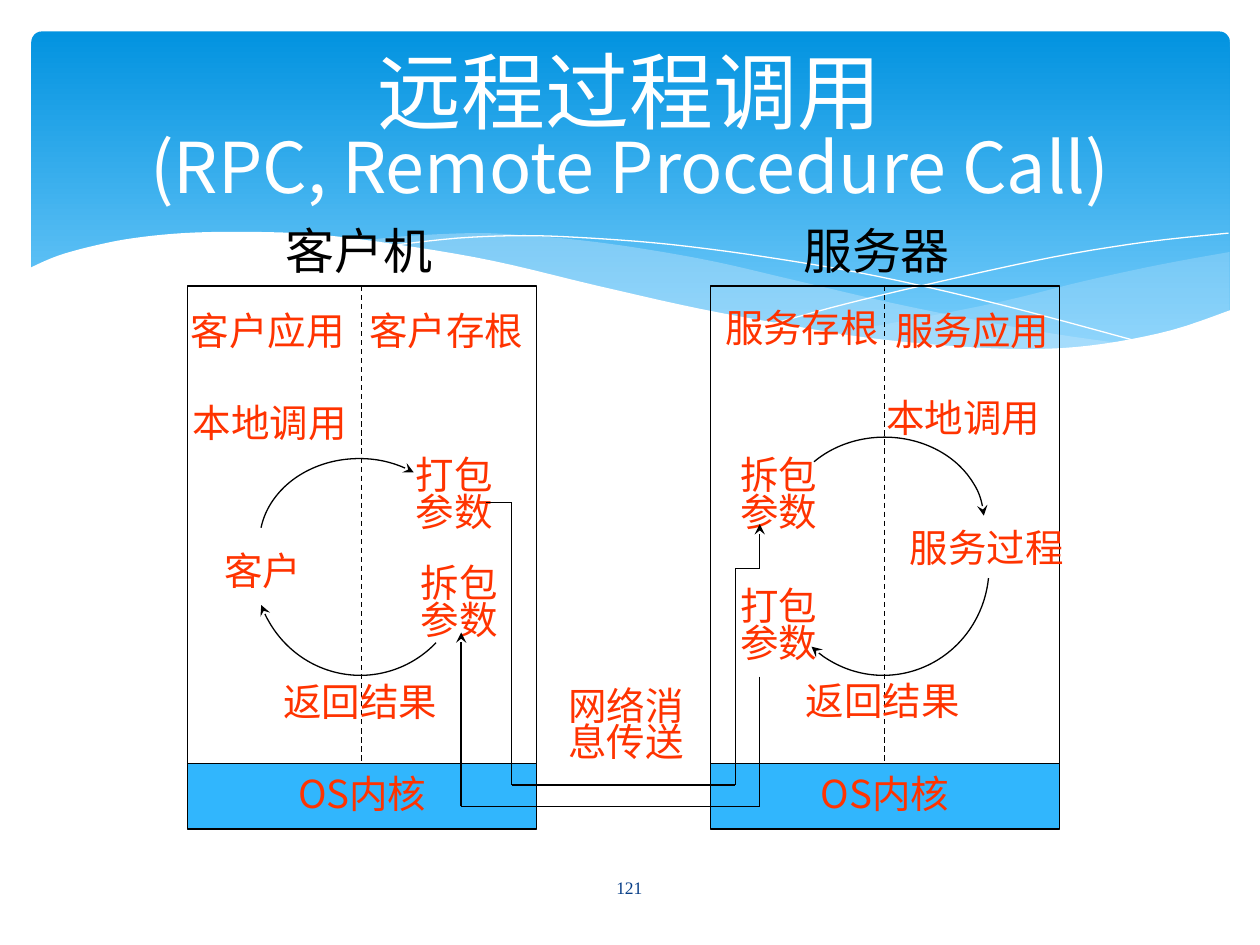
import lxml.etree
import pptx
import pptx.dml.color
import pptx.enum.dml
import pptx.enum.shapes
import pptx.enum.text
import pptx.oxml.ns
import pptx.util

SLIDE_WIDTH = pptx.util.Inches(10)
SLIDE_HEIGHT = pptx.util.Inches(7.5)
COLUMN = SLIDE_WIDTH / 100
ROW = SLIDE_HEIGHT / 75
FONT = "Noto Sans CJK JP"
COLORS = {
    "white": "FFFFFF", "black": "000000", "label": "FF3300", "kernel": "31B6FD",
    "sky_top": "0293E0", "sky_bottom": "83D3FE", "wave": "C6E7FC", "number": "073E87",
}
LABELS = [
    (["客户应用"], 13.8, 24.4, 14.9, 3.5),
    (["客户存根"], 28.7, 24.4, 13.4, 3.5),
    (["本地调用"], 14.6, 31.7, 13.6, 3.5),
    (["客户"], 14.9, 43.4, 11.9, 3.4),
    (["打包", "参数"], 32.3, 36.5, 7.5, 5.2),
    (["拆包", "参数"], 32.3, 45.1, 8.3, 5.2),
    (["返回结果"], 21.6, 53.8, 14, 3.4),
    (["服务存根"], 56.9, 24.1, 13.5, 5.2),
    (["服务应用"], 70.5, 24.4, 13.3, 4.2),
    (["本地调用"], 69.7, 31.3, 13.5, 3.5),
    (["服务过程"], 71.9, 41.6, 12.8, 3.4),
    (["拆包", "参数"], 57.8, 36.5, 8, 5.2),
    (["打包", "参数"], 57.8, 46.9, 8, 5.2),
    (["返回结果"], 63.4, 53.7, 13.3, 3.4),
]
CALL_ARCS = [
    (20.6, 36.4, 15.8, 13.3, 188.5, 308),
    (20.2, 36.4, 16.8, 17.2, 45, 159),
    (62.3, 34.7, 15.8, 13.3, 220, 357),
    (61.7, 36.4, 16.8, 17.2, 6, 132),
]
REQUEST_ROUTE = [(38.6, 39.9), (40.6, 39.9), (40.6, 62.3), (58.35, 62.3),
                 (58.35, 45.1), (60.3, 45.1), (60.3, 41.6)]
REPLY_ROUTE = [(60.3, 53.7), (60.3, 64), (36.6, 64), (36.6, 50.2)]

RIGHT_WAVE_TOP = [(97.6, 20), (92.1, 21), (86.1, 22.3), (80.5, 23.7), (75.3, 24.8), (66.1, 26.5)]
RIGHT_WAVE_BOTTOM = [(66.1, 26.5), (71.8, 27.3), (76.9, 27.7), (81.4, 27.8), (86.3, 27.5),
                     (90.5, 26.9), (94.2, 25.9), (97.6, 24.7)]
BROAD_WAVE_TOP = [(89.3, 27.3), (83.7, 26.5), (77.5, 25.4), (70.6, 24), (62.9, 22.2), (56.9, 20.8),
                  (51.4, 19.8), (46.4, 19.1), (42, 18.7), (38, 18.5), (32.8, 18.7), (28.6, 19.1)]
BROAD_WAVE_BOTTOM = [(28.6, 19.1), (34.2, 19.9), (40.4, 21.1), (49.1, 23.2), (56.6, 24.8),
                     (63.4, 26.1), (69.5, 27), (74.8, 27.6), (79.6, 27.9), (84.8, 27.8), (89.3, 27.3)]
FALLING_CREST = [(30.9, 19.5), (36.3, 18.9), (41.6, 18.7), (46.9, 18.9), (53.2, 19.4), (60.8, 20.4),
                 (69.5, 21.9), (79.5, 24.2), (90.7, 27.2)]
RISING_CREST = [(61.3, 25.7), (67.2, 24.1), (74.8, 22.3), (83.6, 20.4), (91, 19.2), (97.5, 18.5)]
PAGE_EDGE = [(97.7, 24.6), (93, 26.2), (87.5, 27.3), (82.3, 27.7), (76.1, 27.5), (68.8, 26.8),
             (62.6, 25.8), (55.5, 24.5), (47.5, 22.7), (39.1, 20.7), (31.5, 19.4), (25, 18.6),
             (19.3, 18.4), (14.6, 18.5), (10.6, 18.9), (7.5, 19.5), (4.6, 20.3), (2.3, 21.3)]
PAGE_CORNERS = [(2.3, 32.9), (97.7, 32.9)]


def rgb(key):
    return pptx.dml.color.RGBColor.from_string(COLORS[key])


def place(x, y):
    return round(x * COLUMN), round(y * ROW)


def add_element(parent, tag, **attributes):
    return lxml.etree.SubElement(parent, pptx.oxml.ns.qn(tag), attributes)


def set_stroke(line, arrow=False):
    line.color.rgb = rgb("black")
    line.width = pptx.util.Pt(0.75)
    if arrow:
        add_element(line._get_or_add_ln(), "a:tailEnd", type="stealth")


def add_preset(slide, preset, x, y, width, height, fill=None, outlined=True):
    shape = slide.shapes.add_shape(preset, *place(x, y), *place(width, height))
    shape.shadow.inherit = False
    if fill:
        shape.fill.solid()
        shape.fill.fore_color.rgb = rgb(fill)
    else:
        shape.fill.background()
    if outlined:
        set_stroke(shape.line)
    else:
        shape.line.fill.background()
    return shape


def smooth(knots, steps=5):
    padded = [knots[0], *knots, knots[-1]]
    curve = [knots[0]]
    for a, b, c, d in zip(padded, padded[1:], padded[2:], padded[3:]):
        for step in range(1, steps + 1):
            t = step / steps
            curve.append(tuple(
                b[i] + t * (c[i] - a[i]) / 2
                + t ** 2 * (a[i] - 2.5 * b[i] + 2 * c[i] - d[i] / 2)
                + t ** 3 * (1.5 * (b[i] - c[i]) + (d[i] - a[i]) / 2)
                for i in (0, 1)))
    return curve


def add_outline(slide, points, closed):
    corners = [place(*point) for point in points]
    builder = slide.shapes.build_freeform(*corners[0])
    builder.add_line_segments(corners[1:], close=closed)
    outline = builder.convert_to_shape()
    outline.shadow.inherit = False
    return outline


def add_wave(slide, points, color, opacity=100):
    wave = add_outline(slide, points, True)
    wave.fill.solid()
    wave.fill.fore_color.rgb = rgb(color)
    wave.line.fill.background()
    if opacity < 100:
        tint = wave._element.spPr.find(".//" + pptx.oxml.ns.qn("a:srgbClr"))
        add_element(tint, "a:alpha", val=str(opacity * 1000))


def add_crest(slide, knots):
    crest = add_outline(slide, smooth(knots), False)
    crest.fill.background()
    crest.line.color.rgb = rgb("white")
    crest.line.width = pptx.util.Pt(0)


def add_run(paragraph, text, size, color, font=FONT):
    run = paragraph.add_run()
    run.text = text
    run.font.size = pptx.util.Pt(size)
    run.font.color.rgb = rgb(color)
    run.font.name = font
    add_element(run._r.get_or_add_rPr(), "a:ea", typeface=font)


def add_text(slide, lines, x, y, width, height, size=22, color="label", spacing=None, font=FONT):
    frame = slide.shapes.add_textbox(*place(x, y), *place(width, height)).text_frame
    frame.word_wrap = True
    frame.margin_left = frame.margin_right = frame.margin_top = frame.margin_bottom = 0
    for index, line in enumerate(lines):
        paragraph = frame.add_paragraph() if index else frame.paragraphs[0]
        paragraph.alignment = pptx.enum.text.PP_ALIGN.CENTER
        paragraph.line_spacing = spacing or (0.8 if len(lines) > 1 else 1)
        add_run(paragraph, line, size, color, font)
    return frame


def add_line(slide, start, end, arrow=False):
    connector = slide.shapes.add_connector(
        pptx.enum.shapes.MSO_CONNECTOR.STRAIGHT, *place(*start), *place(*end))
    set_stroke(connector.line, arrow)
    add_element(connector._element.spPr, "a:effectLst")
    return connector


def add_route(slide, points):
    legs = list(zip(points, points[1:]))
    for leg in legs:
        add_line(slide, *leg, arrow=leg is legs[-1])


def add_call_arc(slide, x, y, width, height, start, end):
    arc = add_preset(slide, pptx.enum.shapes.MSO_SHAPE.ARC, x, y, width, height)
    arc.adjustments[0] = start * 0.6
    arc.adjustments[1] = end * 0.6
    add_element(arc.line._get_or_add_ln(), "a:tailEnd", type="stealth")


def add_background(slide):
    sky = add_preset(slide, pptx.enum.shapes.MSO_SHAPE.ROUNDED_RECTANGLE,
                     2.5, 2.5, 95.1, 27, outlined=False)
    sky.adjustments[0] = 0.03
    sky.fill.gradient()
    sky.fill.gradient_angle = 270
    for stop, color in zip(sky.fill.gradient_stops, ("sky_top", "sky_bottom")):
        stop.color.rgb = rgb(color)
    add_wave(slide, smooth(RIGHT_WAVE_TOP) + smooth(RIGHT_WAVE_BOTTOM), "wave", 29)
    add_wave(slide, smooth(BROAD_WAVE_TOP) + smooth(BROAD_WAVE_BOTTOM), "wave", 40)
    add_crest(slide, FALLING_CREST)
    add_crest(slide, RISING_CREST)
    add_wave(slide, smooth(PAGE_EDGE) + PAGE_CORNERS, "white")


def add_title(slide):
    frame = add_text(slide, ["远程过程调用"], 5, 3.7, 90, 13.7, 48, "white", 0.8)
    frame.vertical_anchor = pptx.enum.text.MSO_ANCHOR.MIDDLE
    heading = frame.paragraphs[0]
    heading.add_line_break()
    add_run(heading, "(RPC, Remote Procedure Call)", 40, "white")


def add_machine(slide, name, left):
    rectangle = pptx.enum.shapes.MSO_SHAPE.RECTANGLE
    add_preset(slide, rectangle, left, 22.7, 27.7, 37.9)
    add_text(slide, [name], left + 6.7, 17.5, 13.8, 3.4, 28, "black")
    kernel = add_preset(slide, rectangle, left, 60.6, 27.7, 5.2, "kernel")
    caption = kernel.text_frame.paragraphs[0]
    kernel.text_frame.vertical_anchor = pptx.enum.text.MSO_ANCHOR.TOP
    caption.alignment = pptx.enum.text.PP_ALIGN.CENTER
    add_run(caption, "OS内核", 22, "label")
    divider = add_line(slide, (left + 13.8, 22.7), (left + 13.8, 60.6))
    divider.line.dash_style = pptx.enum.dml.MSO_LINE.DASH


def main():
    deck = pptx.Presentation()
    deck.slide_width, deck.slide_height = SLIDE_WIDTH, SLIDE_HEIGHT
    slide = deck.slides.add_slide(deck.slide_layouts[6])
    add_background(slide)
    add_title(slide)
    for name, left in (("客户机", 14.9), ("服务器 ", 56.4)):
        add_machine(slide, name, left)
    for label in LABELS:
        add_text(slide, *label)
    for arc in CALL_ARCS:
        add_call_arc(slide, *arc)
    add_route(slide, REQUEST_ROUTE)
    add_route(slide, REPLY_ROUTE)
    add_text(slide, ["网络消息传送"], 43.7, 54.8, 12, 6.8, spacing=0.8)
    number = add_text(slide, ["121"], 43.6, 68.4, 12.7, 4, 10, "number", font="Times New Roman")
    number.vertical_anchor = pptx.enum.text.MSO_ANCHOR.MIDDLE
    deck.save("out.pptx")


if __name__ == "__main__":
    main()
